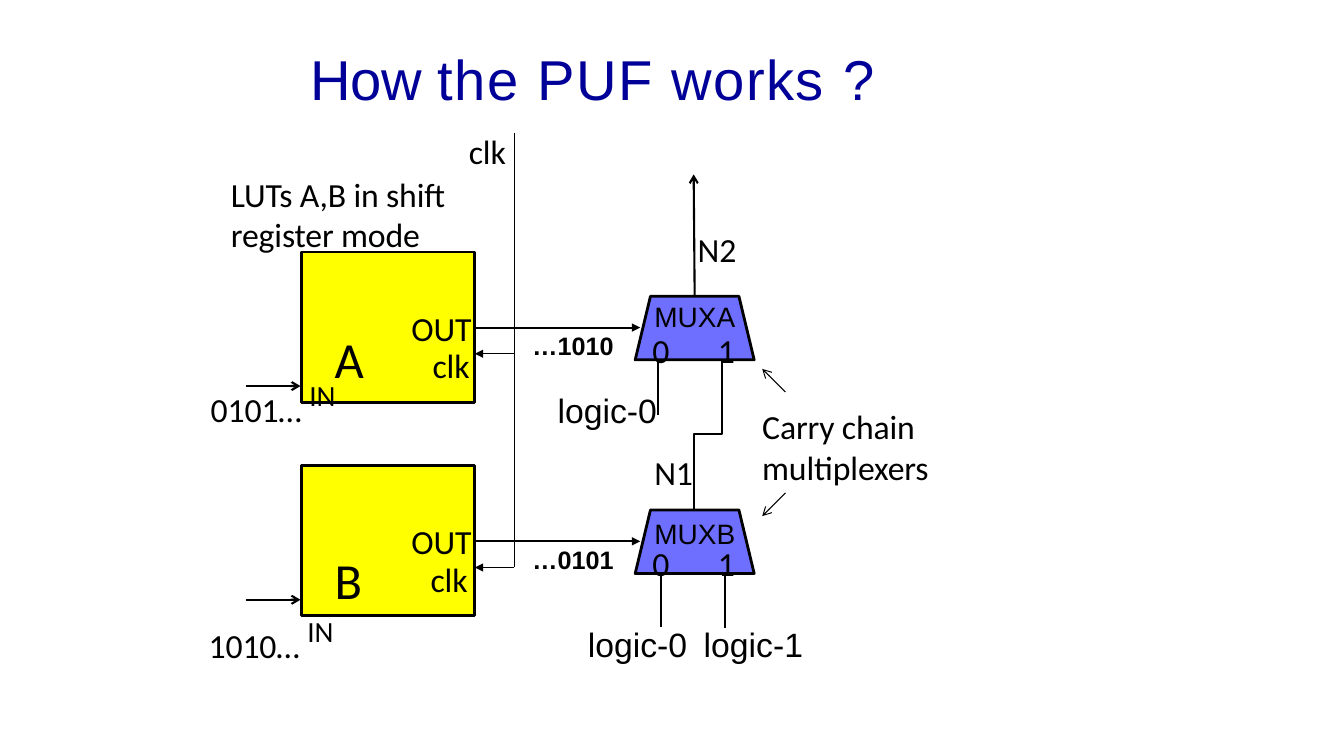
"""Build the slide that explains how the PUF works."""
import pptx
import pptx.util
import pptx.dml.color
import pptx.enum.shapes
import pptx.enum.text
import pptx.oxml
import pptx.oxml.ns
from dataclasses import dataclass

Inches = pptx.util.Inches
Shape = pptx.enum.shapes.MSO_SHAPE


@dataclass
class Theme:
    ink: str = "000000"
    title: str = "000099"
    lut: str = "FFFF00"
    mux: str = "6F6FFF"
    sans: str = "Arial"
    body: str = "Calibri"
    head: float = 40.1
    big: float = 36.1
    text: float = 24.1
    name: float = 20
    bits: float = 18
    thin: float = 0.75
    wire: float = 1.5
    edge: float = 2


class Deck:
    def __init__(self, theme):
        self.theme = theme
        self.file = pptx.Presentation()
        self.file.slide_width = Inches(13.33)
        self.file.slide_height = Inches(7.5)
        self.slide = self.file.slides.add_slide(self.file.slide_layouts[5])
        self.shapes = self.slide.shapes

    def color(self, code):
        return pptx.dml.color.RGBColor.from_string(code)

    def frame(self, shape):
        frame = shape.text_frame
        form = dict(margin_left=0, margin_right=0, margin_top=0,
                    margin_bottom=0, word_wrap=True,
                    auto_size=pptx.enum.text.MSO_AUTO_SIZE.NONE,
                    vertical_anchor=pptx.enum.text.MSO_ANCHOR.TOP)
        for key, value in form.items():
            setattr(frame, key, value)
        line = frame.paragraphs[0]
        line.alignment = pptx.enum.text.PP_ALIGN.LEFT
        return line

    def run(self, line, text, size, font, code, bold=False, **extra):
        run = line.add_run()
        run.text = text
        form = dict(size=pptx.util.Pt(size), name=font, bold=bold)
        for key, value in form.items():
            setattr(run.font, key, value)
        run.font.color.rgb = self.color(code)
        props = run._r.get_or_add_rPr()
        for key, value in extra.items():
            props.set(key, str(value))

    def title(self, parts, x, y, w, h):
        shape = self.shapes.title
        form = dict(left=x, top=y, width=w, height=h)
        for key, value in form.items():
            setattr(shape, key, Inches(value))
        line = self.frame(shape)
        for text, gap in parts:
            self.run(line, text, self.theme.head, self.theme.sans,
                     self.theme.title, spc=gap)

    def label(self, text, x, y, w, h=0.41, size=None, font=None,
              bold=False, raised=""):
        box = self.shapes.add_textbox(*map(Inches, (x, y, w, h)))
        line = self.frame(box)
        font = font or self.theme.body
        self.run(line, text, size or self.theme.text, font,
                 self.theme.ink, bold, spc=-10 if font == self.theme.body else 0)
        if raised:
            self.run(line, raised, self.theme.big, font,
                     self.theme.ink, baseline=32000)

    def pen(self, line, width):
        line.color.rgb = self.color(self.theme.ink)
        line.width = pptx.util.Pt(width)

    def block(self, kind, x, y, w, h, code):
        shape = self.shapes.add_shape(kind, *map(Inches, (x, y, w, h)))
        shape.shadow.inherit = False
        shape.fill.solid()
        shape.fill.fore_color.rgb = self.color(code)
        self.pen(shape.line, self.theme.edge)
        return shape

    def wire(self, start, end, width, tip=None, size="med"):
        line = self.shapes.add_connector(
            pptx.enum.shapes.MSO_CONNECTOR.STRAIGHT,
            *map(Inches, (*start, *end)))
        self.pen(line.line, width)
        props = line._element.spPr
        if tip:
            pptx.oxml.ns.qn("a:tailEnd")
            space = pptx.oxml.ns.nsdecls("a")
            props.find(pptx.oxml.ns.qn("a:ln")).append(pptx.oxml.parse_xml(
                f'<a:tailEnd {space} type="{tip}" w="{size}" len="{size}"/>'))
        props.append(pptx.oxml.parse_xml(
            f'<a:effectLst {pptx.oxml.ns.nsdecls("a")}/>'))

    def bend(self, points, width):
        spots = [tuple(map(Inches, spot)) for spot in points]
        form = self.shapes.build_freeform(*spots[0], scale=1.0)
        form.add_line_segments(spots[1:], close=False)
        shape = form.convert_to_shape()
        shape.shadow.inherit = False
        shape.fill.background()
        self.pen(shape.line, width)


theme = Theme()
deck = Deck(theme)
deck.title([("How ", -10), ("the PUF works ", 110), ("?", -10)],
           3.08, 0.44, 7.45, 0.68)

deck.wire((5.1, 1.32), (5.1, 5.63), theme.thin)
stages = [
    dict(name="A", out="…1010", feed="0101… ", feed_at=(2.09, 3.69),
         name_y=3.25, mux_y=2.97, clk_x=4.29, pin_y=3.27),
    dict(name="B", out="…0101", feed="1010… ", feed_at=(2.07, 6.03),
         name_y=5.45, mux_y=5.12, clk_x=4.27, pin_y=5.38),
]
for row, part in enumerate(stages):
    drop = 2.12 * row
    deck.block(Shape.RECTANGLE, 2.99, 2.5 + drop, 1.72, 1.49, theme.lut)
    mux = deck.block(Shape.TRAPEZOID, 6.3, 2.94 + drop, 1.18, 0.63, theme.mux)
    mux.adjustments[0] = 0.24
    deck.wire((5.1, 3.51 + drop), (4.71, 3.51 + drop), theme.thin, "triangle")
    deck.wire((4.71, 3.25 + drop), (6.35, 3.25 + drop), theme.wire, "triangle")
    deck.wire((2.44, 3.83 + drop), (2.98, 3.83 + drop), theme.wire, "arrow")
    deck.label("OUT", 4.08, 3.05 + drop, 0.75)
    deck.label("clk", part["clk_x"], 3.42 + drop, 0.45)
    deck.label(part["name"], 3.32, part["name_y"], 0.4, 0.61, theme.big)
    deck.label(part["feed"], *part["feed_at"], 1.6, raised="IN")
    deck.label(part["out"], 5.28, 3.28 + drop, 1, 0.3, theme.bits,
               theme.sans, True)
    deck.label("MUX" + part["name"], 6.49, part["mux_y"], 1, 0.34,
               theme.name, theme.sans)
    for pin, x in (("0", 6.47), ("1", 7.12)):
        deck.label(pin, x, part["pin_y"], 0.25)

for x, y in ((6.53, 3.57), (6.56, 5.67), (7.19, 5.68)):
    deck.wire((x, y), (x, y + 0.55), theme.wire)
deck.bend([(6.88, 5.06), (6.88, 4.31), (7.16, 4.31), (7.16, 3.57)], theme.wire)
deck.wire((6.89, 2.94), (6.88, 1.73), theme.wire, "arrow")
for start, end in ((3.89, 3.66), (4.89, 5.12)):
    deck.wire((7.79, start), (7.56, end), theme.thin, "arrow")

deck.label("LUTs A,B in shift register mode", 2.29, 1.72, 2.3, 0.81)
deck.label("Carry chain multiplexers", 7.56, 4.03, 1.8, 0.81)
for text, x, y in (("clk", 4.65, 1.3), ("N1", 6.49, 4.48), ("N2", 6.92, 2.27)):
    deck.label(text, x, y, 0.5)
for text, x, y in (("logic-0", 5.53, 3.87), ("logic-0", 5.83, 6.19),
                   ("logic-1", 6.98, 6.19)):
    deck.label(text, x, y, 1.1, font=theme.sans)

deck.file.save("out.pptx")
